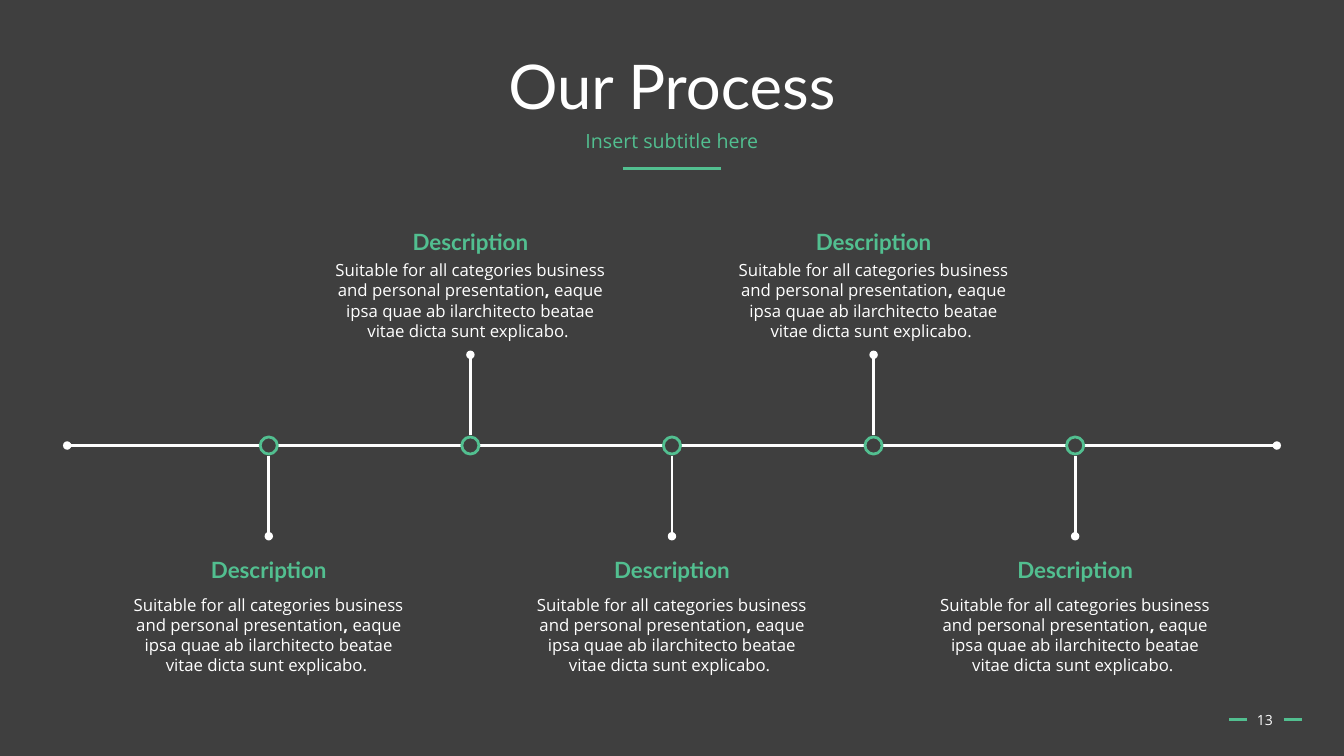
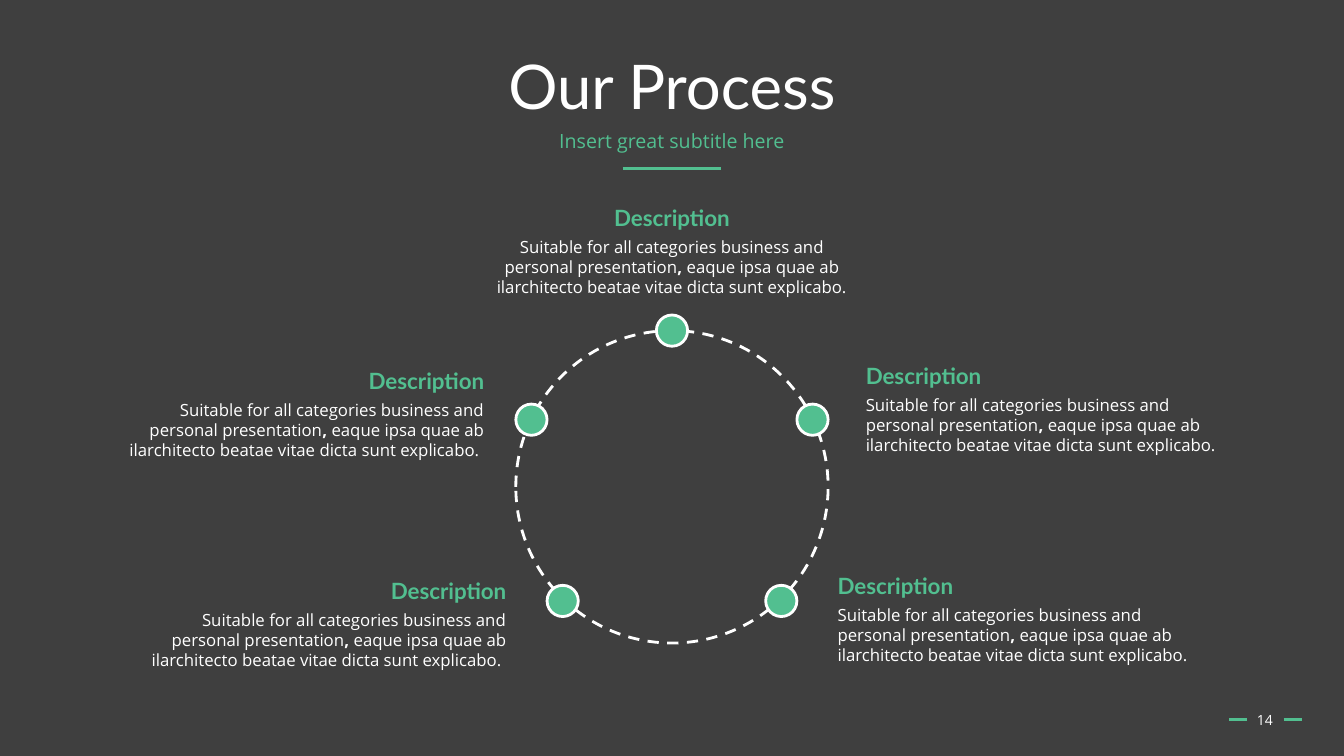
import pptx
import pptx.util
import pptx.dml.color
import pptx.enum.dml
import pptx.enum.shapes
import pptx.enum.text
import pptx.oxml.ns
from lxml import etree

W, H = 13.34, 7.5
DARK, GREEN, WHITE = "3F3F3F", "52BF90", "FFFFFF"
HEAD_FONT, BODY_FONT = "Lato", "Open Sans"
ALIGN = pptx.enum.text.PP_ALIGN
ANCHOR = pptx.enum.text.MSO_ANCHOR
HEADING = "Description"
BODY = [("Suitable for all categories business and personal presentation", False),
        (",", True),
        (" eaque ipsa quae ab ilarchitecto beatae vitae dicta sunt explicabo. ", False)]


def inches(*values):
    return [pptx.util.Inches(v) for v in values]


def rgb(color):
    return pptx.dml.color.RGBColor.from_string(color)


def write(shape, text, size, color, font, align=ALIGN.CENTER, bold=False,
          anchor=ANCHOR.TOP, spacing=None):
    """Fill a shape with one paragraph; text is a string or (text, bold) runs."""
    tf = shape.text_frame
    tf.word_wrap = True
    tf.vertical_anchor = anchor
    p = tf.paragraphs[0]
    p.alignment = align
    p.line_spacing = spacing
    p.font.size = pptx.util.Pt(size)
    p.font.name = font
    p.font.color.rgb = rgb(color)
    p.font.bold = bold
    runs = [(text, None)] if isinstance(text, str) else text
    for content, run_bold in runs:
        r = p.add_run()
        r.text = content
        r.font.bold = run_bold


def label(s, box, text, *style, **options):
    write(s.shapes.add_textbox(*inches(*box)), text, *style, **options)


def line(s, x1, y1, x2, y2, color=WHITE, width=2, ends=()):
    """Draw a straight line; ends lists the ends (headEnd, tailEnd) with a dot."""
    c = s.shapes.add_connector(pptx.enum.shapes.MSO_CONNECTOR.STRAIGHT,
                               *inches(x1, y1, x2, y2))
    c.line.color.rgb = rgb(color)
    c.line.width = pptx.util.Pt(width)
    qn = pptx.oxml.ns.qn
    for end in ends:
        etree.SubElement(c.line._get_or_add_ln(), qn("a:" + end), type="oval")
    etree.SubElement(c._element.spPr, qn("a:effectLst"))


def circle(s, cx, cy, d, color, fill=None, dashed=False):
    sp = s.shapes.add_shape(pptx.enum.shapes.MSO_SHAPE.OVAL,
                            *inches(cx - d / 2, cy - d / 2, d, d))
    sp.shadow.inherit = False
    if fill:
        sp.fill.solid()
        sp.fill.fore_color.rgb = rgb(fill)
    else:
        sp.fill.background()
    sp.line.color.rgb = rgb(color)
    sp.line.width = pptx.util.Pt(2)
    if dashed:
        sp.line.dash_style = pptx.enum.dml.MSO_LINE.DASH


def caption(s, x, top, width, align=ALIGN.CENTER, gap=0.32):
    """Heading over body text, both hung on x by the given alignment."""
    share = {ALIGN.LEFT: 0, ALIGN.CENTER: 0.5, ALIGN.RIGHT: 1}[align]
    label(s, (x - share * width, top + gap, width, 0.7), BODY,
          12, WHITE, BODY_FONT, align=align)
    label(s, (x - share * 2.28, top, 2.28, 0.37), HEADING,
          16, GREEN, HEAD_FONT, align=align, bold=True)


def base_slide(prs, title, subtitle, number):
    """Title, subtitle, rule and page number."""
    s = prs.slides.add_slide(prs.slide_layouts[5])
    t = s.shapes.title
    t.left, t.top, t.width, t.height = inches(0.92, 0.4, 11.5, 0.98)
    write(t, title, 44, WHITE, HEAD_FONT, anchor=ANCHOR.MIDDLE, spacing=0.9)
    label(s, (0.92, 1.26, 11.5, 0.4), subtitle, 14, GREEN, BODY_FONT, spacing=0.9)
    line(s, W / 2 - 0.49, 1.67, W / 2 + 0.49, 1.67, GREEN, 1.75)
    # Page number between two dashes
    for x in (12.2, 12.74):
        line(s, x, 7.14, x + 0.18, 7.14, GREEN, 1.75)
    label(s, (12.26, 6.94, 0.59, 0.4), str(number), 10, WHITE, BODY_FONT,
          anchor=ANCHOR.MIDDLE)
    return s


def timeline(s, left, y, width, count=5):
    """Axis with stations whose captions alternate below and above."""
    line(s, left, y, left + width, y, ends=("headEnd", "tailEnd"))
    step = width / (count + 1)
    for i in range(count):
        x = left + step * (i + 1)
        below = i % 2 == 0
        side = 1 if below else -1
        circle(s, x, y, 0.17, GREEN, fill=DARK)
        line(s, x, y + side * 0.1, x, y + side * 0.9, ends=("tailEnd",))
        if below:
            caption(s, x, y + 1.05, 2.92, gap=0.38)
        else:
            caption(s, x, y - 2.21, 2.92)


def ring(s, left, top, size):
    """Dashed circle with nodes, each with a caption offset from it."""
    circle(s, left + size / 2, top + size / 2, size, WHITE, dashed=True)
    # Node as shares of the ring's box, caption offset, width, alignment
    nodes = [(0.5, 0, 0, -1.3, 3.68, ALIGN.CENTER),
             (0.05, 0.285, -0.37, -0.57, 3.81, ALIGN.RIGHT),
             (0.95, 0.285, 0.43, -0.62, 3.78, ALIGN.LEFT),
             (0.15, 0.865, -0.46, -0.28, 3.81, ALIGN.RIGHT),
             (0.85, 0.865, 0.46, -0.33, 3.78, ALIGN.LEFT)]
    for fx, fy, dx, dy, width, align in nodes:
        x, y = left + fx * size, top + fy * size
        circle(s, x, y, 0.31, WHITE, fill=GREEN)
        caption(s, x + dx, y + dy, width, align)


def main():
    prs = pptx.Presentation()
    prs.slide_width, prs.slide_height = inches(W, H)
    background = prs.slide_master.background.fill
    background.solid()
    background.fore_color.rgb = rgb(DARK)

    s = base_slide(prs, "Our Process", "Insert subtitle here", 13)
    timeline(s, 0.05 * W, 4.42, 0.9 * W)

    s = base_slide(prs, "Our Process", "Insert great subtitle here", 14)
    ring(s, W / 2 - 1.55, 3.28, 3.1)

    prs.save("out.pptx")


if __name__ == "__main__":
    main()
